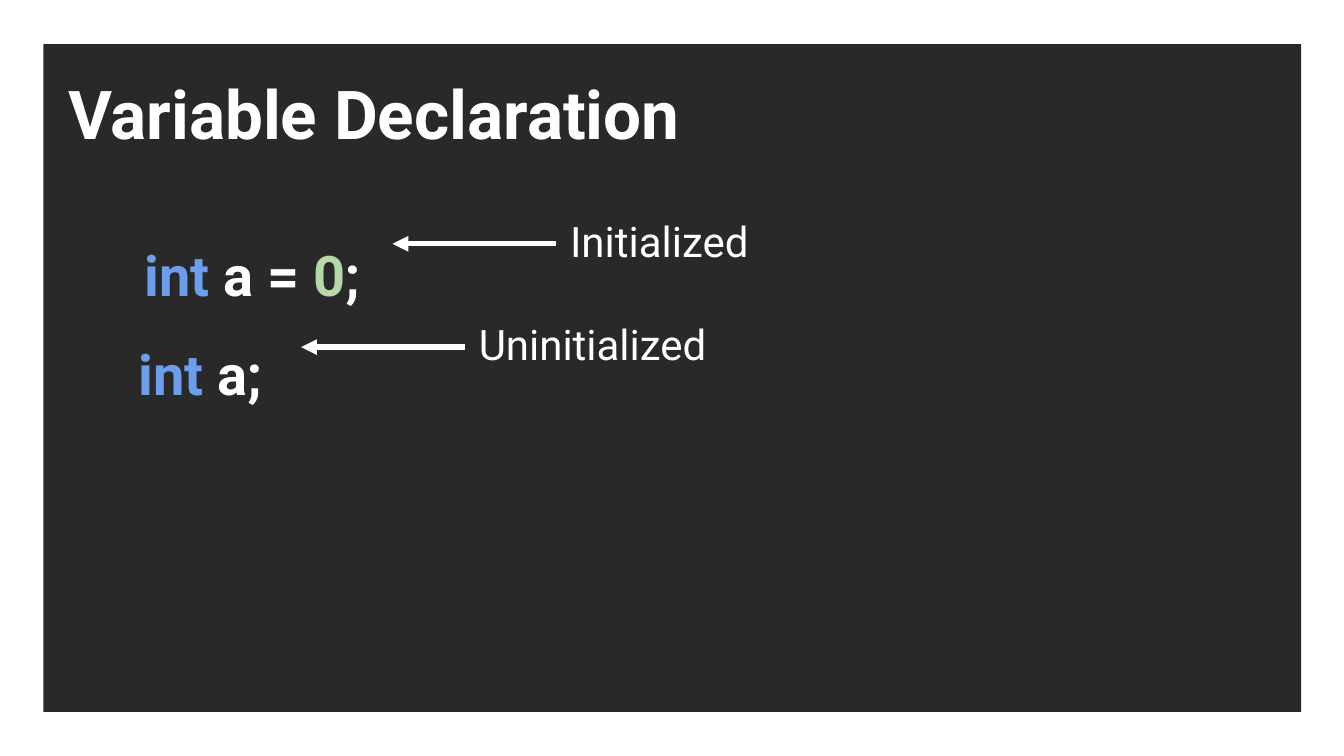
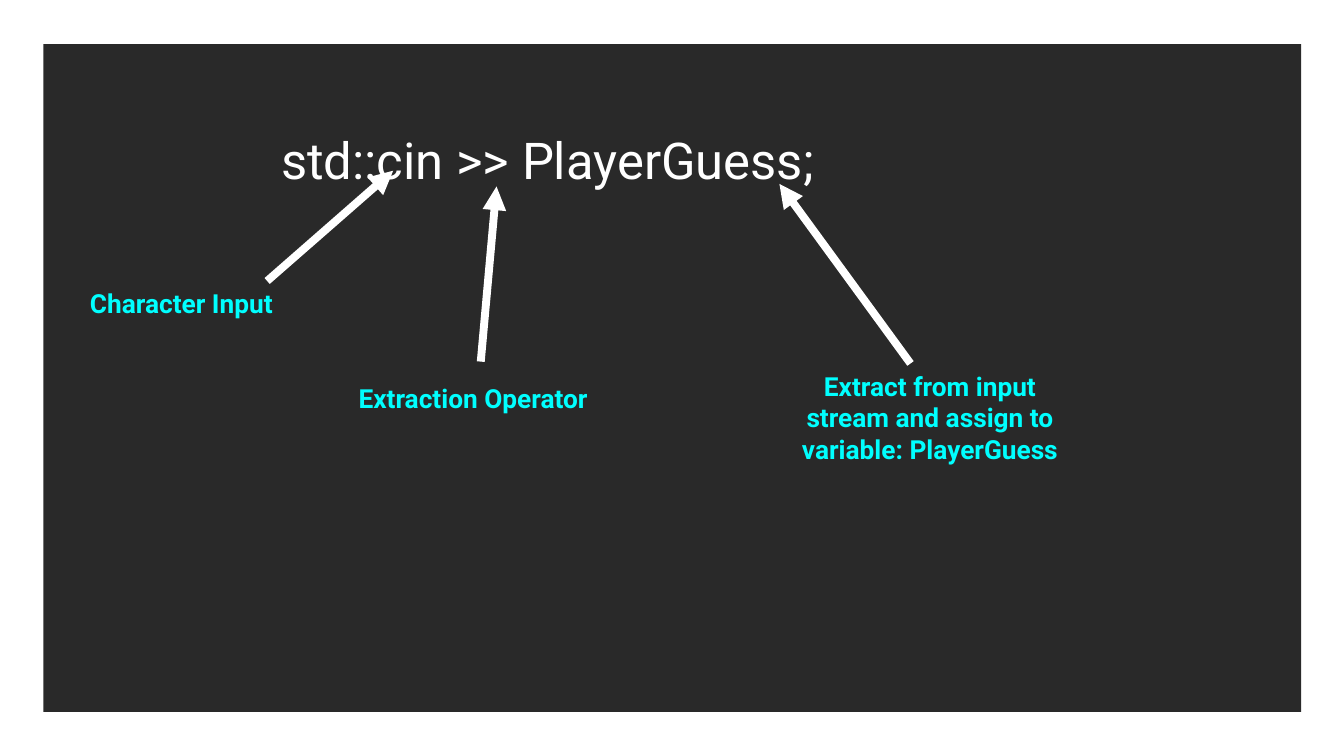
from lxml import etree
from pptx import Presentation
from pptx.dml.color import RGBColor
from pptx.enum import shapes, text
from pptx.oxml.ns import qn
from pptx.util import Inches, Pt

FONT = "Roboto"
WHITE, BLACK, BLUE, GREEN, CYAN = "FFFFFF", "000000", "6D9EEB", "B6D7A8", "00FFFF"
LEFT, CENTER = text.PP_ALIGN.LEFT, text.PP_ALIGN.CENTER

TITLE = dict(size=77, bold=True, align=LEFT, spacing=1.0, inset=0.08)
DECLARATION = dict(size=64, bold=True, align=CENTER, spacing=1.5, inset=0.08)
STATEMENT = dict(size=58, bold=False, align=LEFT, spacing=1.5, inset=0.08)
NOTE = dict(size=48, bold=False, align=LEFT, spacing=1.0, inset=0.1)
CALLOUT = dict(size=30, bold=True, align=CENTER, spacing=1.0, inset=0.1)


def put_text(sp, box, runs, style):
    """Place sp at box and fill it with one paragraph of (text, colour) runs."""
    sp.left, sp.top, sp.width, sp.height = map(Inches, box)
    tf = sp.text_frame
    frame = dict(word_wrap=True, auto_size=text.MSO_AUTO_SIZE.NONE,
                 vertical_anchor=text.MSO_ANCHOR.TOP)
    for side in ("left", "top", "right", "bottom"):
        frame[f"margin_{side}"] = Inches(style["inset"])
    for name, value in frame.items():
        setattr(tf, name, value)
    p = tf.paragraphs[0]
    if sp.is_placeholder:
        pPr = p._p.get_or_add_pPr()
        pPr.set("marL", "0")
        pPr.set("indent", "0")
        etree.SubElement(pPr, qn("a:buNone"))
    p.alignment, p.line_spacing, p.space_before = style["align"], style["spacing"], Pt(0)
    for words, color in runs:
        r = p.add_run()
        r.text = words
        r.font.name, r.font.size, r.font.bold = FONT, Pt(style["size"]), style["bold"]
        r.font.color.rgb = RGBColor.from_string(color)


def add_arrow(s, start, end, width):
    c = s.shapes.add_connector(shapes.MSO_CONNECTOR.STRAIGHT, *map(Inches, start + end))
    c.line.width = Pt(width)
    c.line.color.rgb = RGBColor.from_string(WHITE)
    spPr = c.element.spPr
    etree.SubElement(spPr.find(qn("a:ln")), qn("a:tailEnd"), type="triangle")
    etree.SubElement(spPr, qn("a:effectLst"))


prs = Presentation()
prs.slide_width, prs.slide_height = Inches(21.33), Inches(12)

# Slide 1: variable declaration
s = prs.slides.add_slide(prs.slide_layouts.get_by_name("Two Content"))

# The dark panel is shared, so it moves to the back of the master
panel = s.shapes.add_shape(shapes.MSO_SHAPE.RECTANGLE,
                           *map(Inches, (0.69, 0.7, 19.96, 10.6)))
panel.shadow.inherit = False
panel.fill.solid()
panel.fill.fore_color.rgb = RGBColor.from_string(BLACK)
panel.line.fill.background()
etree.SubElement(panel.element.spPr.find(".//" + qn("a:srgbClr")), qn("a:alpha"), val="84000")
prs.slide_master.shapes.element.insert(2, panel.element)

put_text(s.shapes.title, (1, 1.07, 19.33, 1.46), [("Variable Declaration", WHITE)], TITLE)
declarations = [
    ((1, 3.2, 6.01, 1.89), [("int", BLUE), (" a = ", WHITE), ("0", GREEN), (";", WHITE)]),
    ((1.2, 4.78, 3.97, 1.89), [("int", BLUE), (" a;", WHITE)]),
]
for idx, (box, runs) in enumerate(declarations, start=1):
    put_text(s.placeholders[idx], box, runs, DECLARATION)

for words, left, top, width in [("Initialized", 8.95, 3.32, 3.27),
                                ("Uninitialized", 7.5, 4.96, 4.2)]:
    y = top + 0.55
    add_arrow(s, (left - 0.12, y), (left - 2.72, y), 6)
    put_text(s.shapes.add_textbox(0, 0, 0, 0), (left, top, width, 1.1), [(words, WHITE)], NOTE)

# Slide 2: reading input
s = prs.slides.add_slide(prs.slide_layouts.get_by_name("Title and Content"))
title = s.shapes.title.element
title.getparent().remove(title)
put_text(s.placeholders[1], (4.38, 1.48, 10.7, 1.45),
         [("std::cin >> PlayerGuess;", WHITE)], STATEMENT)

callouts = [
    ("Character Input", (1.33, 4.46, 3.83, 0.95), LEFT, (4.24, 4.46), (6.24, 2.71)),
    ("Extraction Operator", (5.16, 5.96, 4.7, 0.95), CENTER, (7.63, 5.74), (7.88, 2.96)),
    ("Extract from input stream and assign to variable: PlayerGuess",
     (12.41, 5.77, 4.7, 0.95), CENTER, (14.45, 5.77), (12.37, 2.92)),
]
for words, box, align, start, end in callouts:
    add_arrow(s, start, end, 9)
    put_text(s.shapes.add_textbox(0, 0, 0, 0), box, [(words, CYAN)],
             {**CALLOUT, "align": align})

prs.save("out.pptx")
